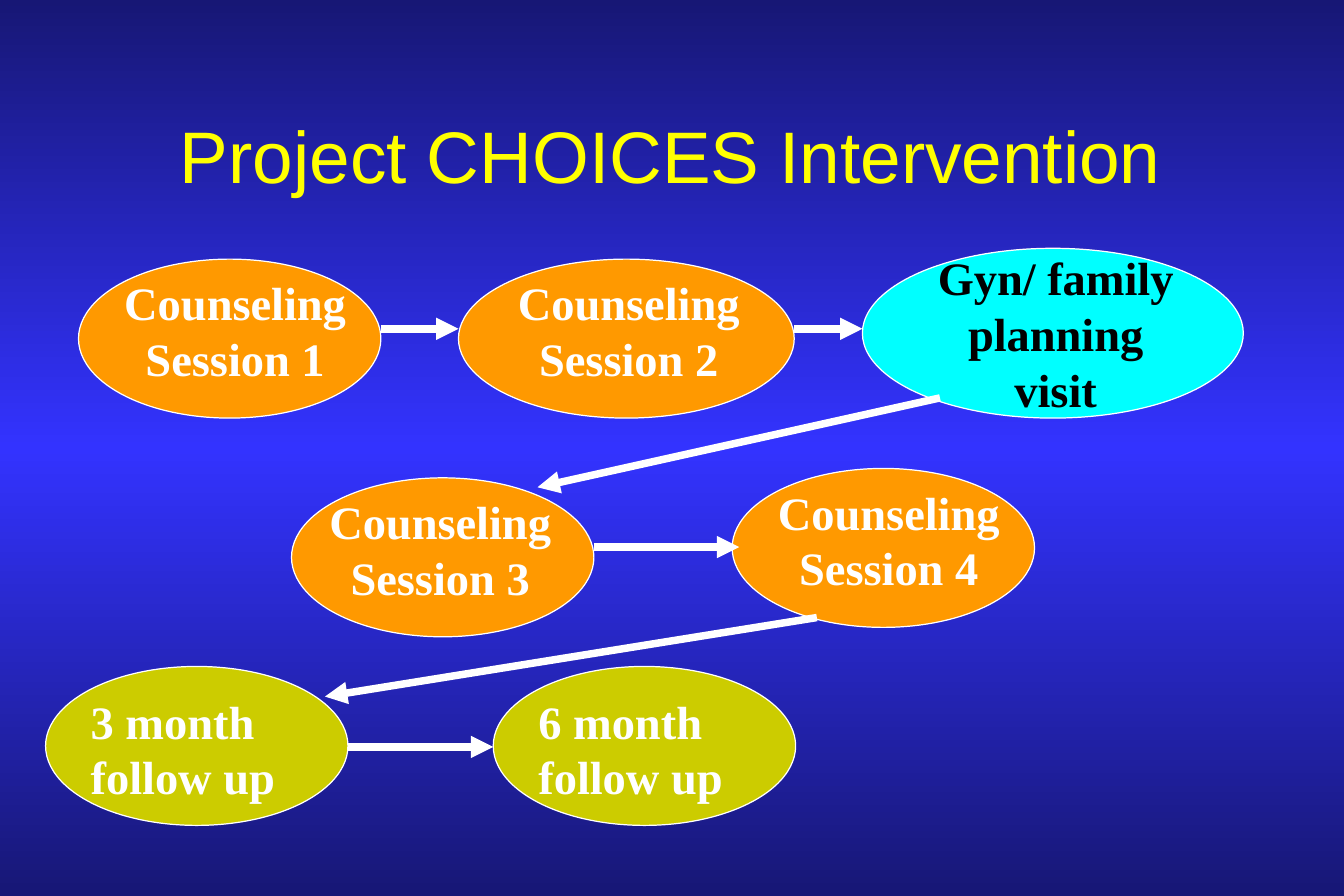
from copy import deepcopy
from lxml.etree import SubElement as Sub
from pptx import Presentation
from pptx.dml.color import RGBColor
from pptx.enum.shapes import MSO_CONNECTOR as Link, MSO_SHAPE as Form
from pptx.enum.text import MSO_ANCHOR as Anchor, PP_ALIGN as Align
from pptx.oxml.ns import qn
from pptx.util import Cm, Pt

WHITE, BLACK, YELLOW = "FFFFFF", "000000", "FFFF00"
ORANGE, CYAN, OLIVE = "FF9900", "00FFFF", "CCCC00"
DARK, BLUE = "171775", "3333FF"

# name: (oval box, fill, (text shift x, shift y, width, height), lines, ink, align)
STAGES = {
    "one": ((1.67, 5.51, 6.43, 3.38), ORANGE, (0.23, 0.2, 6.2, 2.64),
            ["Counseling Session 1"], WHITE, Align.CENTER),
    "two": ((9.75, 5.51, 7.14, 3.38), ORANGE, (0.05, 0.2, 7.14, 2.64),
            ["Counseling Session 2"], WHITE, Align.CENTER),
    "visit": ((18.34, 5.28, 8.1, 3.61), CYAN, (-1.07, -0.1, 10.36, 3.81),
              ["Gyn/ family", "planning", "visit"], BLACK, Align.CENTER),
    "three": ((6.2, 10.16, 6.43, 3.38), ORANGE, (-0.89, 0.2, 8.1, 2.64),
              ["Counseling Session 3"], WHITE, Align.CENTER),
    "four": ((15.57, 9.96, 6.43, 3.38), ORANGE, (-0.48, 0.2, 7.62, 2.64),
             ["Counseling Session 4"], WHITE, Align.CENTER),
    "month 3": ((0.97, 14.17, 6.43, 3.38), OLIVE, (0.71, 0.43, 5.72, 2.64),
                ["3 month follow up"], WHITE, Align.LEFT),
    "month 6": ((10.49, 14.17, 6.43, 3.38), OLIVE, (0.71, 0.43, 5.31, 2.64),
                ["6 month follow up"], WHITE, Align.LEFT),
}

# from stage, point in its box, to stage, point in its box
STEPS = [
    ("one", (6.43, 1.48), "two", (0, 1.48)),
    ("two", (7.14, 1.48), "visit", (0, 1.71)),
    ("visit", (1.65, 3.18), "three", (5.23, 0.2)),
    ("three", (6.43, 1.47), "four", (0.15, 1.67)),
    ("four", (1.8, 3.17), "month 3", (5.94, 0.64)),
    ("month 3", (6.43, 1.71), "month 6", (0, 1.71)),
]


def tint(code):
    return RGBColor.from_string(code)


def write(para, text, font, size, ink, bold=False):
    run = para.add_run()
    run.text = text
    run.font.name, run.font.size, run.font.bold = font, Pt(size), bold
    run.font.color.rgb = tint(ink)


def backdrop(slide):
    fill = slide.background.fill
    fill.gradient()
    fill.gradient_angle = 270
    stops = slide.element.find(".//" + qn("a:gsLst"))
    stops.insert(1, deepcopy(stops[0]))
    for stop, place, code in zip(fill.gradient_stops, (0, 0.5, 1), (DARK, BLUE, DARK)):
        stop.position = place
        stop.color.rgb = tint(code)


def heading(slide, box, text):
    title = slide.shapes.title
    title.left, title.top, title.width, title.height = map(Cm, box)
    frame = title.text_frame
    frame.word_wrap = True
    frame.vertical_anchor = Anchor.MIDDLE
    para = frame.paragraphs[0]
    para.alignment = Align.CENTER
    write(para, text, "Arial", 44, YELLOW)


def stage(slide, box, fill, label, lines, ink, align):
    """Draw an oval in the box, with its label shifted from the box's corner."""
    oval = slide.shapes.add_shape(Form.OVAL, *map(Cm, box))
    oval.shadow.inherit = False
    oval.fill.solid()
    oval.fill.fore_color.rgb = tint(fill)
    oval.line.color.rgb = tint(WHITE)
    oval.line.width = Pt(0.75)

    right, down, wide, high = label
    spot = (box[0] + right, box[1] + down, wide, high)
    frame = slide.shapes.add_textbox(*map(Cm, spot)).text_frame
    frame.word_wrap = True
    for i, line in enumerate(lines):
        para = frame.add_paragraph() if i else frame.paragraphs[0]
        para.alignment = align
        write(para, line, "Times New Roman", 28, ink, True)


def arrow(slide, start, near, end, far):
    """Join a point in the start box to a point in the end box."""
    ends = (start[0] + near[0], start[1] + near[1], end[0] + far[0])
    level = near[0] == start[2]
    drop = ends[1] if level else end[1] + far[1]
    line = slide.shapes.add_connector(Link.STRAIGHT, *map(Cm, (*ends, drop)))
    line.line.color.rgb = tint(WHITE)
    line.line.width = Pt(4.5)
    props = line.element.spPr
    Sub(props.find(qn("a:ln")), qn("a:tailEnd"), type="triangle")
    Sub(props, qn("a:effectLst"))


def main():
    deck = Presentation()
    deck.slide_width, deck.slide_height = Cm(28.58), Cm(19.05)
    slide = deck.slides.add_slide(deck.slide_layouts[5])
    backdrop(slide)
    heading(slide, (2.13, 1.7, 24.28, 3.18), "Project CHOICES Intervention")
    for parts in STAGES.values():
        stage(slide, *parts)
    for start, near, end, far in STEPS:
        arrow(slide, STAGES[start][0], near, STAGES[end][0], far)
    deck.save("out.pptx")


if __name__ == "__main__":
    main()
